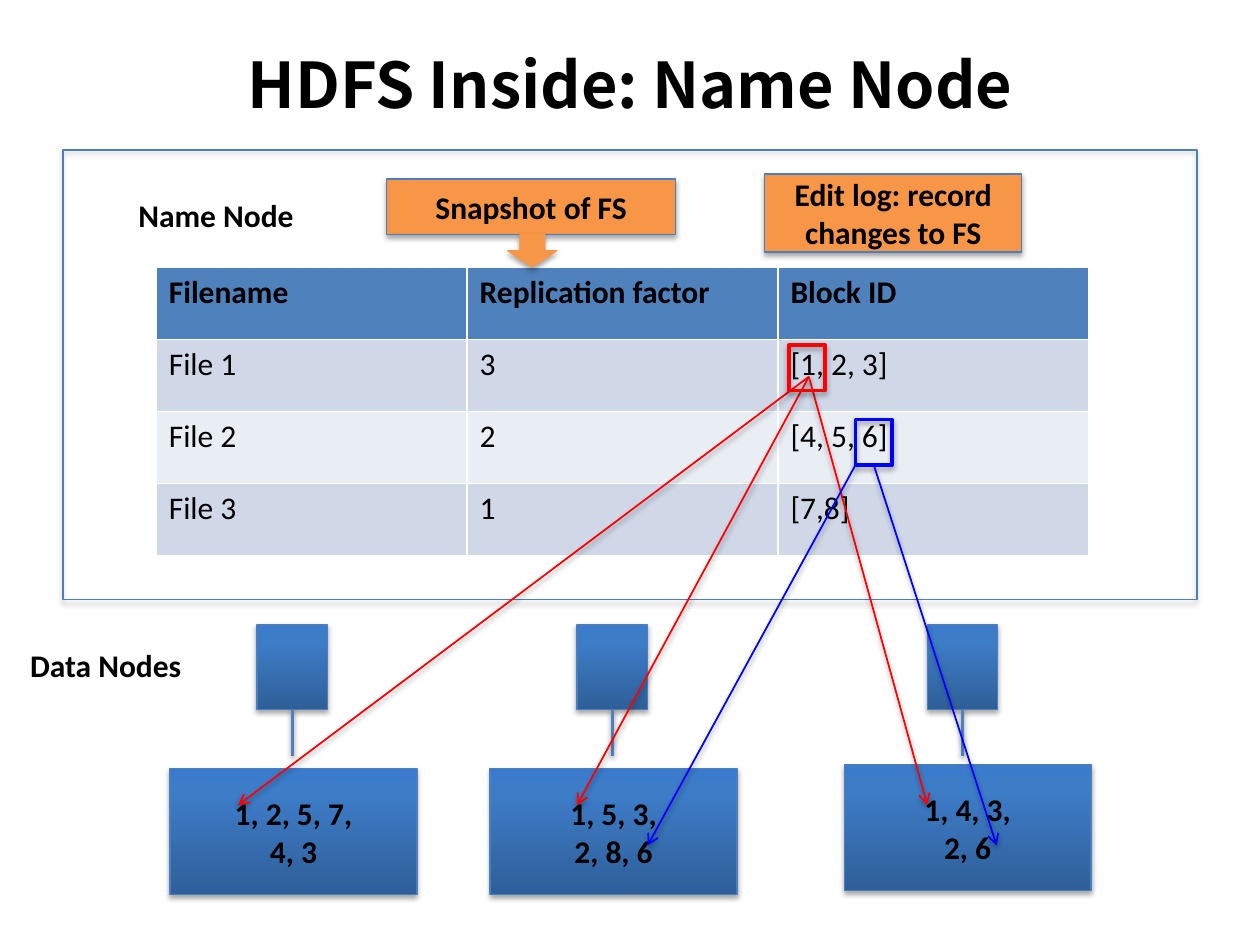
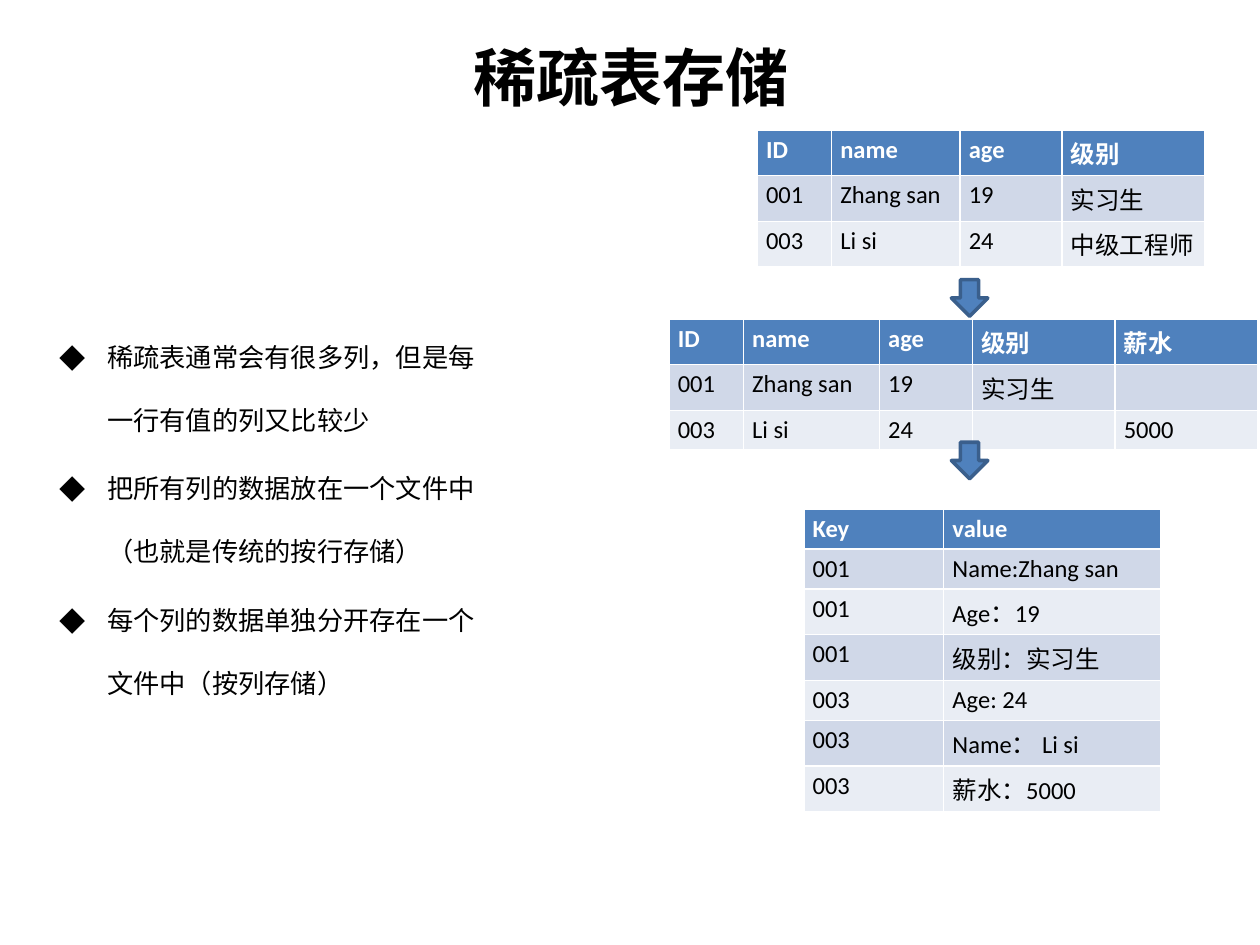
from collections import namedtuple
from copy import deepcopy
from dataclasses import dataclass

from lxml import etree
from pptx import Presentation
from pptx.dml.color import RGBColor
from pptx.enum.shapes import MSO_CONNECTOR, MSO_SHAPE
from pptx.enum.text import MSO_ANCHOR, PP_ALIGN
from pptx.oxml.ns import qn
from pptx.util import Inches, Pt

RECT, DOWN_ARROW = MSO_SHAPE.RECTANGLE, MSO_SHAPE.DOWN_ARROW
STRAIGHT = MSO_CONNECTOR.STRAIGHT
CENTER, LEFT = PP_ALIGN.CENTER, PP_ALIGN.LEFT
MIDDLE = MSO_ANCHOR.MIDDLE
CONTENT_LAYOUT, TITLE_ONLY_LAYOUT = 1, 5
BOTTOM_SIDE = 2

WIDTH, HEIGHT = Inches(10), Inches(7.5)
COLUMNS, ROWS = 100, 75


@dataclass(frozen=True)
class Theme:
    latin: str = "Calibri"
    cjk: str = "Noto Sans CJK SC"
    black: str = "000000"
    white: str = "FFFFFF"
    blue: str = "4F81BD"
    outline: str = "4B7EBC"
    arrow_edge: str = "3A5F8C"
    orange: str = "F79646"
    red: str = "FF0000"
    pure_blue: str = "0000FF"
    bands: tuple = ("D0D8E8", "E9EDF4")
    gradient: tuple = ((0, "2F5F99"), (0.8, "3D7CC7"), (1, "3A7CCB"))
    title: int = 36
    label: int = 18
    body: int = 15
    small: int = 14


T = Theme()
Node = namedtuple("Node", "centre store_left store_top blocks red_end")


def col(n):
    return round(n * WIDTH / COLUMNS)


def row(n):
    return round(n * HEIGHT / ROWS)


def area(left, top, width, height):
    return col(left), row(top), col(width), row(height)


def rgb(value):
    return RGBColor.from_string(value)


def write(p, text, size, bold=False, color=T.black, latin=T.latin, align=LEFT):
    p.alignment = align
    if not text:
        etree.SubElement(p._p, qn("a:endParaRPr"), sz=str(size * 100))
        return
    r = p.add_run()
    r.text = text
    r.font.size, r.font.bold, r.font.name = Pt(size), bold, latin
    r.font.color.rgb = rgb(color)
    etree.SubElement(r._r.get_or_add_rPr(), qn("a:ea"), typeface=T.cjk)


def write_lines(tf, lines, **style):
    for i, line in enumerate(lines):
        write(tf.add_paragraph() if i else tf.paragraphs[0], line, **style)


def place(shape, box):
    shape.left, shape.top, shape.width, shape.height = area(*box)


def add_shadow(shape, alpha=35, distance=1.8):
    effects = etree.SubElement(shape._element.spPr, qn("a:effectLst"))
    shadow = etree.SubElement(
        effects, qn("a:outerShdw"), blurRad=str(Pt(3.1)), dist=str(Pt(distance)),
        dir="5400000", rotWithShape="0")
    black = etree.SubElement(shadow, qn("a:srgbClr"), val=T.black)
    etree.SubElement(black, qn("a:alpha"), val=str(alpha * 1000))


def fill_gradient(shape):
    shape.fill.gradient()
    shape.fill.gradient_angle = 90
    stops = shape._element.spPr.find(".//" + qn("a:gsLst"))
    stops.append(deepcopy(stops[-1]))
    for stop, (position, color) in zip(shape.fill.gradient_stops, T.gradient):
        stop.position, stop.color.rgb = position, rgb(color)


def add_title(s, text, box):
    title = s.shapes.title
    place(title, box)
    tf = title.text_frame
    tf.vertical_anchor = MIDDLE
    write(tf.paragraphs[0], text, T.title, True, latin=T.cjk, align=CENTER)


def add_box(s, box, fill=None, line=T.outline, weight=0.75, lines=(),
            kind=RECT, shadow=True):
    """Add a preset shape; fill is a colour, "gradient" or None."""
    sp = s.shapes.add_shape(kind, *area(*box))
    if fill == "gradient":
        fill_gradient(sp)
    elif fill:
        sp.fill.solid()
        sp.fill.fore_color.rgb = rgb(fill)
    else:
        sp.fill.background()
    sp.line.color.rgb, sp.line.width = rgb(line), Pt(weight)
    if shadow:
        add_shadow(sp)
    else:
        sp.shadow.inherit = False
    tf = sp.text_frame
    tf.vertical_anchor = MIDDLE
    write_lines(tf, lines, size=T.label, bold=True, align=CENTER)
    return sp


def add_label(s, text, left, top):
    tf = s.shapes.add_textbox(*area(left, top, 20.7, 4)).text_frame
    tf.word_wrap = True
    write(tf.paragraphs[0], text, T.label, True)


def add_line(s, start, end, color, weight=1, arrow=True, source=None):
    """Draw a line; a source shape holds its start at the middle of its bottom."""
    line = s.shapes.add_connector(
        STRAIGHT, col(start[0]), row(start[1]), col(end[0]), row(end[1]))
    if source is not None:
        line.begin_connect(source, BOTTOM_SIDE)
    line.line.color.rgb, line.line.width = rgb(color), Pt(weight)
    if arrow:
        ln = line._element.spPr.find(qn("a:ln"))
        etree.SubElement(ln, qn("a:tailEnd"), type="arrow")
    add_shadow(line, 38, 1.6)


def add_grid(s, left, top, widths, row_height, rows, size=T.small,
             head_color=T.white, margins=None):
    frame = s.shapes.add_table(len(rows), len(widths), *area(
        left, top, sum(widths), row_height * len(rows)))
    table = frame.table
    for column, width in zip(table.columns, widths):
        column.width = col(width)
    for i, values in enumerate(rows):
        table.rows[i].height = row(row_height)
        for cell, value in zip(table.rows[i].cells, values):
            cell.fill.solid()
            cell.fill.fore_color.rgb = rgb(T.bands[(i - 1) % 2] if i else T.blue)
            if margins:
                cell.margin_left = cell.margin_right = col(margins[0])
                cell.margin_top = cell.margin_bottom = row(margins[1])
            write(cell.text_frame.paragraphs[0], value, size, i == 0,
                  T.black if i else head_color)


def add_bullets(body, box, items):
    place(body, box)
    tf = body.text_frame
    for i, item in enumerate(items):
        p = tf.add_paragraph() if i else tf.paragraphs[0]
        pPr = p._p.get_or_add_pPr()
        pPr.set("marL", str(col(3.8)))
        pPr.set("indent", str(-col(3.8)))
        etree.SubElement(pPr, qn("a:buFont"), typeface=T.cjk)
        etree.SubElement(pPr, qn("a:buChar"), char="◆")
        p.line_spacing = Pt(36)
        p.space_before = Pt(3 if i else 0)
        write(p, item, T.body, latin=T.cjk)


def name_node_slide(prs):
    s = prs.slides.add_slide(prs.slide_layouts[TITLE_ONLY_LAYOUT])
    add_title(s, "HDFS Inside: Name Node", (5, 0.4, 90, 12.5))
    add_box(s, (5, 11.9, 90, 35.7))
    add_grid(s, 12.4, 21.2, [24.67] * 3, 5.73, [
        ("Filename", "Replication factor", "Block ID"),
        ("File 1", "3", "[1, 2, 3]"),
        ("File 2", "2", "[4, 5, 6]"),
        ("File 3", "1", "[7,8]"),
    ], T.label, T.black)

    nodes = [
        Node(23.2, 13.5, 61, ("1, 2, 5, 7,", "4, 3"), 18.9),
        Node(48.6, 38.9, 61, ("1, 5, 3,", "2, 8, 6"), 45.8),
        Node(76.4, 67, 60.7, ("1, 4, 3,", "2, 6"), 73.6),
    ]
    for node in nodes:
        server = add_box(s, (node.centre - 2.8, 49.6, 5.6, 6.7), "gradient")
        add_line(s, (node.centre, 56.3), (node.centre, 60), T.blue, 2, False, server)
        add_box(s, (node.store_left, node.store_top, 19.6, 10), "gradient",
                lines=node.blocks)

    add_label(s, "Name Node", 10, 15.1)
    add_label(s, "Data Nodes", 1.4, 50.8)
    add_box(s, (30.7, 14.2, 22.9, 4.4), T.orange, lines=["Snapshot of FS"])
    for node in nodes:
        add_line(s, (64.2, 29.9), (node.red_end, 63.9), T.red)
    add_box(s, (62.6, 27.4, 2.9, 3.6), line=T.red, weight=2)
    block_6 = add_box(s, (67.9, 33.3, 2.9, 3.6), line=T.pure_blue, weight=2)
    add_line(s, (67.9, 36.9), (51.4, 67.1), T.pure_blue)
    add_line(s, (69.4, 36.9), (79.1, 67.1), T.pure_blue, source=block_6)
    add_box(s, (60.7, 13.8, 20.4, 6.2), T.orange,
            lines=["Edit log: record changes to FS"])
    add_box(s, (40.3, 18.6, 3.9, 2.6), T.orange, T.orange, kind=DOWN_ARROW)


def sparse_table_slide(prs):
    s = prs.slides.add_slide(prs.slide_layouts[CONTENT_LAYOUT])
    add_title(s, "稀疏表存储", (5.1, 1.2, 89.9, 9.7))
    add_bullets(s.placeholders[1], (3.7, 24.1, 36, 35.7), [
        "稀疏表通常会有很多列，但是每一行有值的列又比较少",
        "把所有列的数据放在一个文件中（也就是传统的按行存储）",
        "每个列的数据单独分开存在一个文件中（按列存储）",
    ])
    tables = [
        (53.1, 25.3, (5.9, 10.8, 7.4, 11.3, 11.3), [
            ("ID", "name", "age", "级别", "薪水"),
            ("001", "Zhang san", "19", "实习生", ""),
            ("003", "Li si", "24", "", "5000"),
        ]),
        (60.1, 10.3, (5.9, 10.2, 8.1, 11.3), [
            ("ID", "name", "age", "级别"),
            ("001", "Zhang san", "19", "实习生"),
            ("003", "Li si", "24", "中级工程师"),
        ]),
        (63.8, 40.4, (11.1, 17.2), [
            ("Key", "value"),
            ("001", "Name:Zhang san"),
            ("001", "Age：19"),
            ("001", "级别：实习生"),
            ("003", "Age: 24"),
            ("003", "Name： Li si"),
            ("003", "薪水：5000"),
        ]),
    ]
    for left, top, widths, rows in tables:
        add_grid(s, left, top, widths, 3, rows, margins=(0.7, 0.4))
    for top in (22.2, 35.1):
        add_box(s, (75.5, top, 2.9, 2.9), T.blue, T.arrow_edge, 2,
                kind=DOWN_ARROW, shadow=False)


def main():
    prs = Presentation()
    prs.slide_width, prs.slide_height = WIDTH, HEIGHT
    name_node_slide(prs)
    sparse_table_slide(prs)
    prs.save("out.pptx")


if __name__ == "__main__":
    main()
